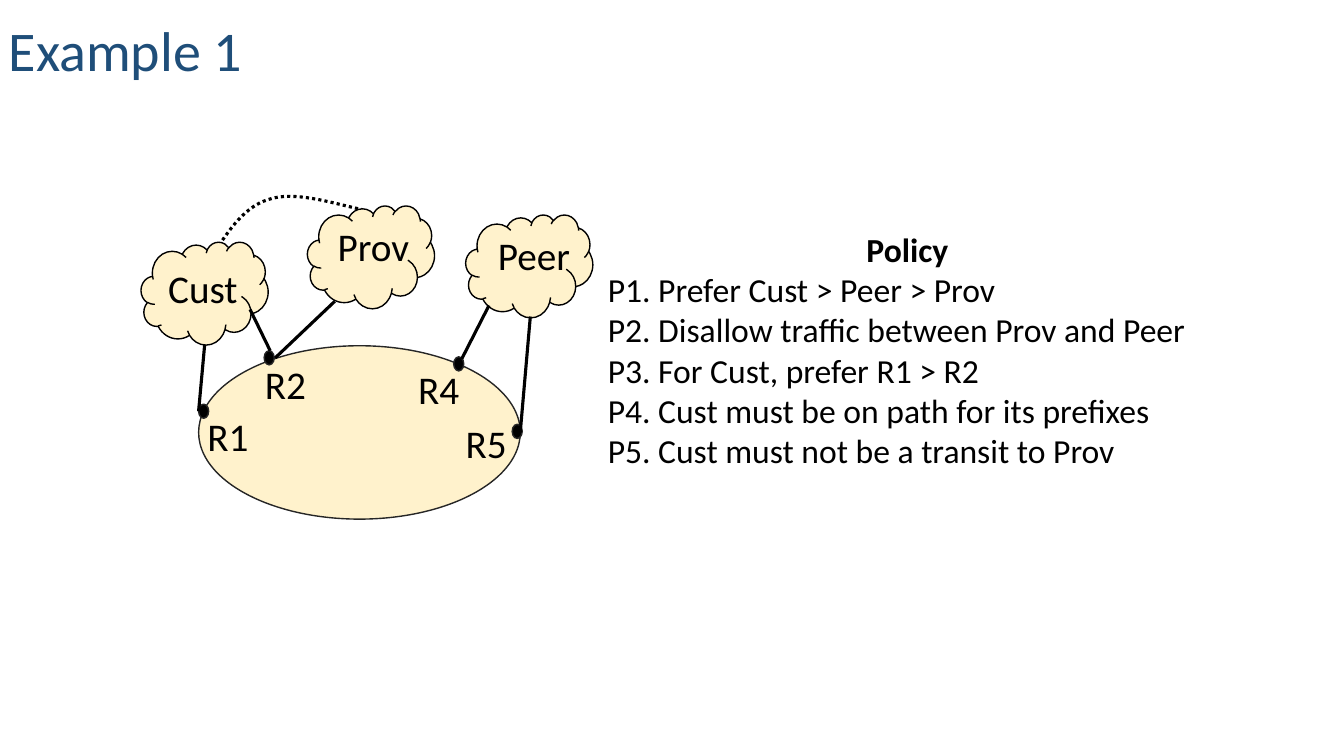
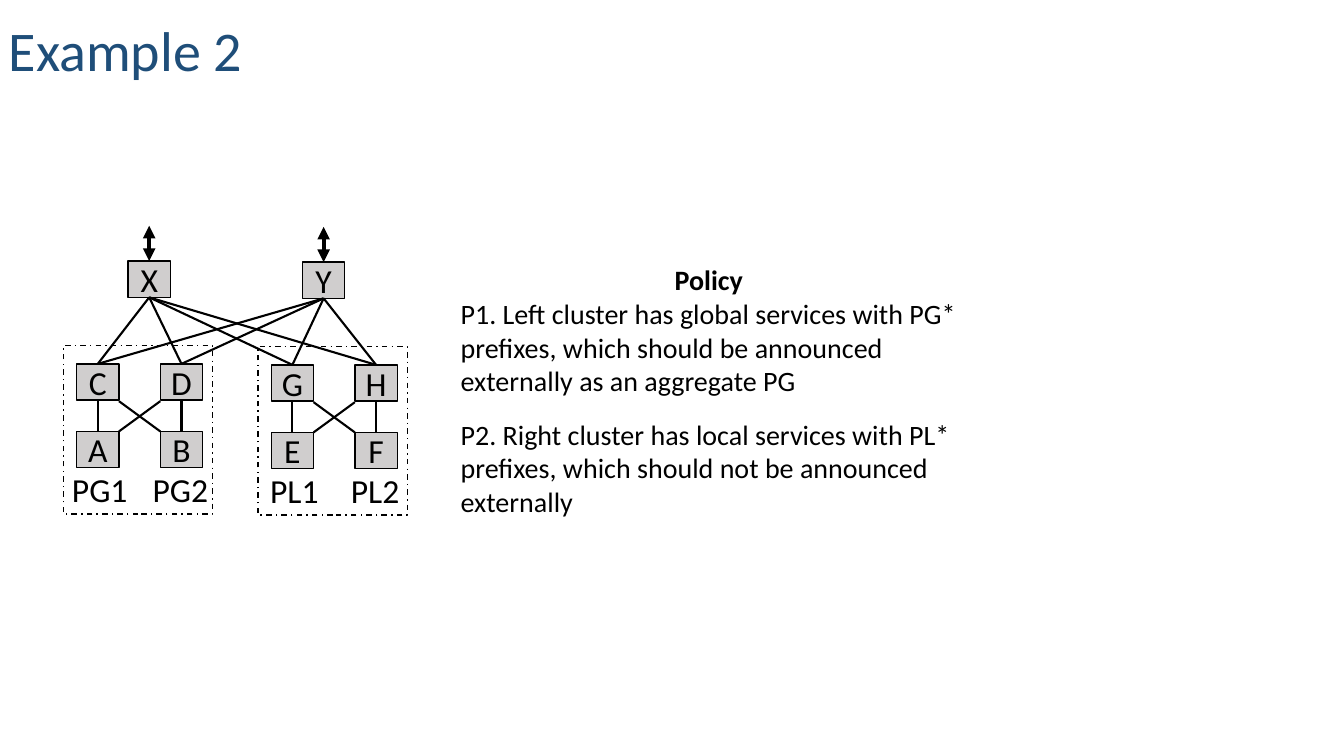
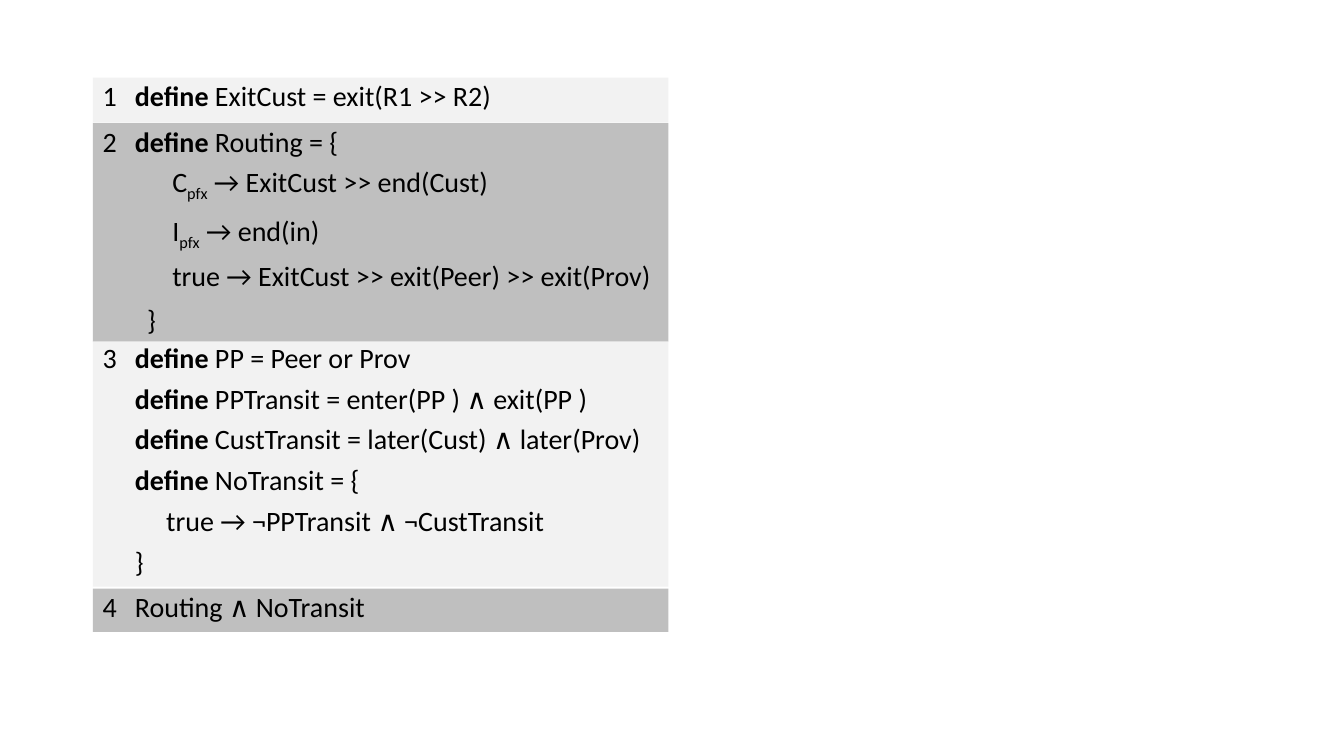
"""Build three slides on routing policy: two network examples and a policy program."""
from lxml import etree
from pptx import Presentation
from pptx.dml.color import RGBColor
from pptx.enum.dml import MSO_LINE
from pptx.enum.shapes import MSO_CONNECTOR, MSO_SHAPE
from pptx.enum.text import MSO_ANCHOR, PP_ALIGN
from pptx.oxml.ns import qn
from pptx.util import Pt

PX = 9144
FONT = "Calibri"
COLOURS = {
    "title": "1F4E79", "black": "000000", "outline": "262626", "cream": "FFF2CC",
    "node": "D0CECE", "light": "F2F2F2", "dark": "BFBFBF",
}
RECT, OVAL, CLOUD = MSO_SHAPE.RECTANGLE, MSO_SHAPE.OVAL, MSO_SHAPE.CLOUD
STRAIGHT = MSO_CONNECTOR.STRAIGHT
DOTS, DASH_DOT = MSO_LINE.ROUND_DOT, MSO_LINE.DASH_DOT
LEFT, CENTER = PP_ALIGN.LEFT, PP_ALIGN.CENTER
TOP, MIDDLE, BOTTOM = MSO_ANCHOR.TOP, MSO_ANCHOR.MIDDLE, MSO_ANCHOR.BOTTOM
TOP_SIDE, BOTTOM_SIDE = 0, 2


def place(page, at, paragraphs=(), kind=None, fill=None, line=None, dash=None, size=24,
          colour="black", align=LEFT, anchor=TOP, spacing=1.0):
    """Add a text box or preset shape; a paragraph is a string or a list of (text, style) runs."""
    edges = [value * PX for value in at]
    if kind is None:
        box = page.shapes.add_textbox(*edges)
    else:
        box = page.shapes.add_shape(kind, *edges)
        box.shadow.inherit = False
        if fill:
            box.fill.solid()
            box.fill.fore_color.rgb = RGBColor.from_string(COLOURS[fill])
        else:
            box.fill.background()
        if line:
            box.line.color.rgb = RGBColor.from_string(COLOURS[line])
            box.line.width = Pt(1)
            box.line.dash_style = dash
        else:
            box.line.fill.background()
    frame = box.text_frame
    frame.word_wrap = True
    frame.vertical_anchor = anchor
    for index, runs in enumerate(paragraphs):
        para = frame.add_paragraph() if index else frame.paragraphs[0]
        para.alignment = align
        para.line_spacing = spacing
        for text, style in [(runs, "")] if isinstance(runs, str) else runs:
            span = para.add_run()
            span.text = text
            span.font.name = FONT
            span.font.size = Pt(size)
            span.font.bold = style == "bold"
            span.font.color.rgb = RGBColor.from_string(COLOURS[colour])
            if style == "sub":
                span.font._element.set("baseline", "-25000")
    return box


def link(page, start, end, width, arrows=False):
    """Add a straight black line, with an arrowhead at each end on request."""
    wire = page.shapes.add_connector(STRAIGHT, *[value * PX for value in (*start, *end)])
    wire.line.color.rgb = RGBColor.from_string(COLOURS["black"])
    wire.line.width = Pt(width)
    if arrows:
        for end_name in ("a:headEnd", "a:tailEnd"):
            etree.SubElement(wire.line._get_or_add_ln(), qn(end_name), type="triangle")
    etree.SubElement(wire._element.spPr, qn("a:effectLst"))
    return wire


deck = Presentation()
deck.slide_width, deck.slide_height = 1333 * PX, 750 * PX
pages = [deck.slides.add_slide(deck.slide_layouts[6]) for _ in range(3)]
network, datacenter, program = pages

for page, title in ((network, "Example 1"), (datacenter, "Example 2")):
    place(page, (-1, -5, 657, 93), [title], size=40, colour="title", anchor=BOTTOM, spacing=0.9)

start_x, start_y, origin_y = 207, 259, 198
curves = [
    [(224, 233), (240, 206), (266, 198)],
    [(291, 189), (328, 201), (359, 208)],
]
outline = network.shapes.build_freeform(start_x, start_y, scale=PX)
outline.add_line_segments([curve[-1] for curve in curves], close=False)
backdoor = outline.convert_to_shape()
backdoor.shadow.inherit = False
backdoor.fill.background()
backdoor.line.color.rgb = RGBColor.from_string(COLOURS["black"])
backdoor.line.width = Pt(2.25)
backdoor.line.dash_style = DOTS
segments = list(backdoor._element.iter(qn("a:lnTo")))
for segment, curve in zip(segments, curves):
    bezier = etree.Element(qn("a:cubicBezTo"))
    for x, y in curve:
        etree.SubElement(bezier, qn("a:pt"), x=str(x - start_x), y=str(y - origin_y))
    segment.getparent().replace(segment, bezier)

place(network, (197, 343, 319, 172), kind=OVAL, fill="cream", line="outline")
routers = [
    ("R1", (197, 401), (196, 409)),
    ("R2", (262, 348), (253, 358)),
    ("R4", (450, 354), (405, 363)),
    ("R5", (508, 421), (452, 416)),
]
neighbours = [
    ("Cust", (140, 240), (157, 263)),
    ("Prov", (305, 204), (325, 221)),
    ("Peer", (462, 213), (484, 230)),
]
for name, dot, label in routers:
    place(network, (*dot, 10, 14), kind=OVAL, fill="black", line="outline")
for name, cloud, label in neighbours:
    place(network, (*cloud, 126, 102), kind=CLOUD, fill="cream", line="black")
for name, spot, label in routers + neighbours:
    place(network, (*label, 110, 34), [name], size=28, spacing=0.9)
for start, end in [
    ((203, 342), (197, 408)),
    ((248, 307), (268, 348)),
    ((332, 299), (273, 355)),
    ((485, 303), (458, 356)),
    ((526, 314), (516, 429)),
]:
    link(network, start, end, 2.25)

policies = [
    (network, (593, 222, 614, 252), 24, 0, [
        "P1. Prefer Cust > Peer > Prov",
        "P2. Disallow traffic between Prov and Peer",
        "P3. For Cust, prefer R1 > R2",
        "P4. Cust must be on path for its prefixes",
        "P5. Cust must not be a transit to Prov",
    ]),
    (datacenter, (447, 256, 512, 257), 20, 14, [
        "P1. Left cluster has global services with PG* prefixes, "
        "which should be announced externally as an aggregate PG",
        "P2. Right cluster has local services with PL* prefixes, "
        "which should not be announced externally",
    ]),
]
for page, at, size, gap, rules in policies:
    policy = place(page, at, [[("Policy", "bold")], *rules], size=size)
    heading, first, *others = policy.text_frame.paragraphs
    heading.alignment = CENTER
    for para in others:
        para.space_before = Pt(gap)

NODE_W, NODE_H, COLUMN, ROW = 42, 36, 83, 67
nodes = {}
places = {"X": (127, 259), "Y": (300, 260)}
clusters = [
    (76, 361, "CDAB", ("PG1", "PG2")),
    (269, 362, "GHEF", ("PL1", "PL2")),
]
for left, top, names, prefixes in clusters:
    for index, name in enumerate(names):
        places[name] = (left + index % 2 * COLUMN, top + index // 2 * ROW)
    place(datacenter, (left - 13, top - 18, 148, 167), kind=RECT, line="black", dash=DASH_DOT)
    for index, prefix in enumerate(prefixes):
        place(datacenter, (left - 25 + index * 80, top + 99, 96, 50), [prefix], align=CENTER)
    inner_left, inner_right = left + NODE_W, left + COLUMN
    upper, lower = top + NODE_H + 1, top + ROW
    link(datacenter, (inner_right, upper), (inner_left, lower), 1.5)
    link(datacenter, (inner_left, upper), (inner_right, lower), 1.5)
for name, spot in places.items():
    nodes[name] = place(datacenter, (*spot, NODE_W, NODE_H), [name], kind=RECT, fill="node",
                        line="black", align=CENTER, anchor=MIDDLE)
for pair in ("XC", "XD", "XG", "XH", "YC", "YD", "YG", "YH", "CA", "DB", "GE", "HF"):
    wire = link(datacenter, (0, 0), (0, 0), 1.5)
    wire.begin_connect(nodes[pair[0]], BOTTOM_SIDE)
    wire.end_connect(nodes[pair[1]], TOP_SIDE)
for name in "XY":
    x, y = places[name]
    uplink = link(datacenter, (x + NODE_W // 2, y - 35), (x + NODE_W // 2, y), 3, arrows=True)
    uplink.end_connect(nodes[name], TOP_SIDE)

DEFINE = ("define", "bold")
MARGIN = 32
blocks = [
    (77, 44, "light", 0.9, [
        (MARGIN, 0, [DEFINE, (" ExitCust = exit(R1 >> R2)", "")]),
    ]),
    (122, 217, "dark", 0.9, [
        (MARGIN, 0, [DEFINE, (" Routing = {", "")]),
        (69, 5, [("C", ""), ("pfx", "sub"), (" → ExitCust >> end(Cust)", "")]),
        (69, 10, [("I", ""), ("pfx", "sub"), (" → end(in)", "")]),
        (69, 10, [("true → ExitCust >> exit(Peer) >> exit(Prov)", "")]),
        (44, 10, [("}", "")]),
    ]),
    (339, 243, "light", 0.8, [
        (MARGIN, 0, [DEFINE, (" PP = Peer or Prov", "")]),
        (MARGIN, 10, [DEFINE, (" PPTransit = enter(PP ) ∧ exit(PP )", "")]),
        (MARGIN, 10, [DEFINE, (" CustTransit = later(Cust) ∧ later(Prov)", "")]),
        (MARGIN, 10, [DEFINE, (" NoTransit = {", "")]),
        (63, 10, [("true → ¬PPTransit ∧ ¬CustTransit", "")]),
        (MARGIN, 10, [("}", "")]),
    ]),
    (584, 43, "dark", 0.9, [
        (MARGIN, 0, [("Routing ∧ NoTransit", "")]),
    ]),
]
for number, (top, height, fill, spacing, lines) in enumerate(blocks, 1):
    code = [runs for indent, before, runs in lines]
    code[0] = [(f"{number}\t", ""), *code[0]]
    block = place(program, (92, top, 571, height), code, kind=RECT, fill=fill, size=20,
                  spacing=spacing)
    for para, (indent, before, runs) in zip(block.text_frame.paragraphs, lines):
        para.space_before = Pt(before)
        para._p.get_or_add_pPr().set("marL", str(indent * PX))
    numbered = block.text_frame.paragraphs[0]._p.get_or_add_pPr()
    numbered.set("indent", str(-MARGIN * PX))
    stops = etree.SubElement(numbered, qn("a:tabLst"))
    etree.SubElement(stops, qn("a:tab"), pos=str(MARGIN * PX), algn="l")

deck.save("out.pptx")
